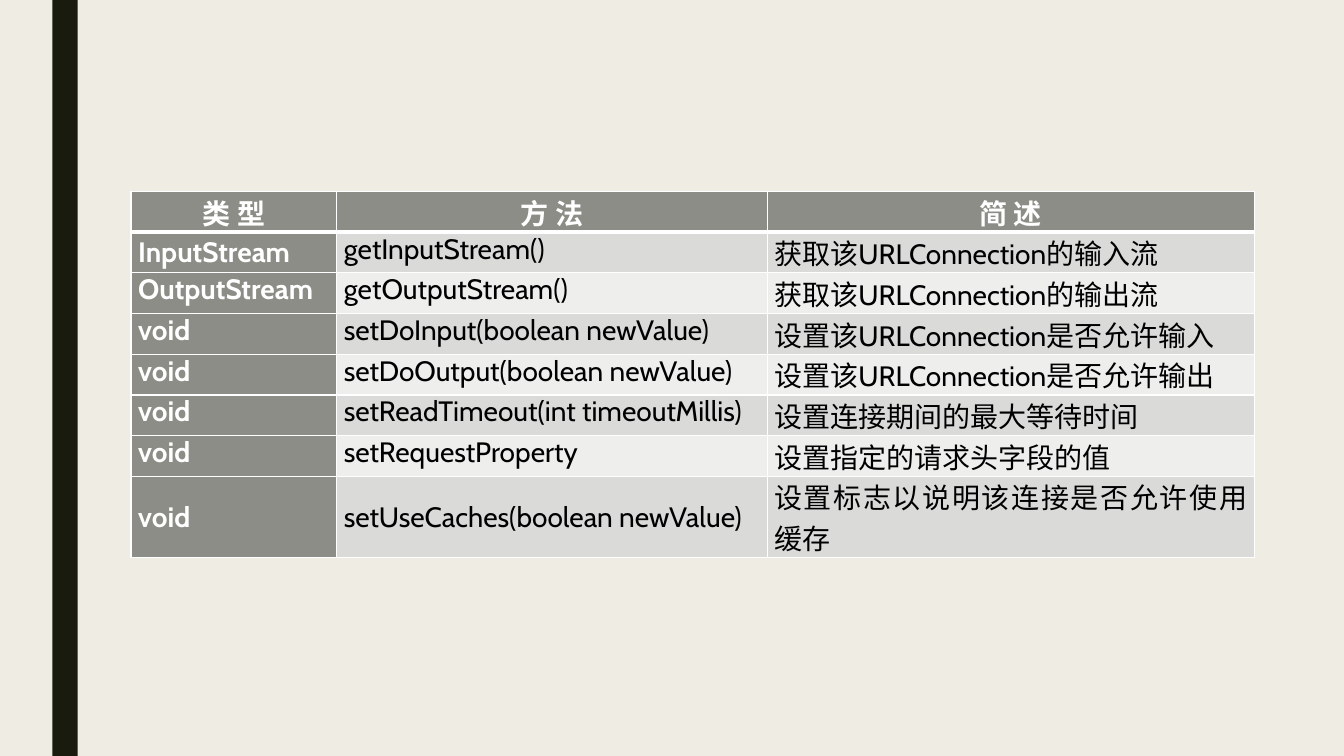
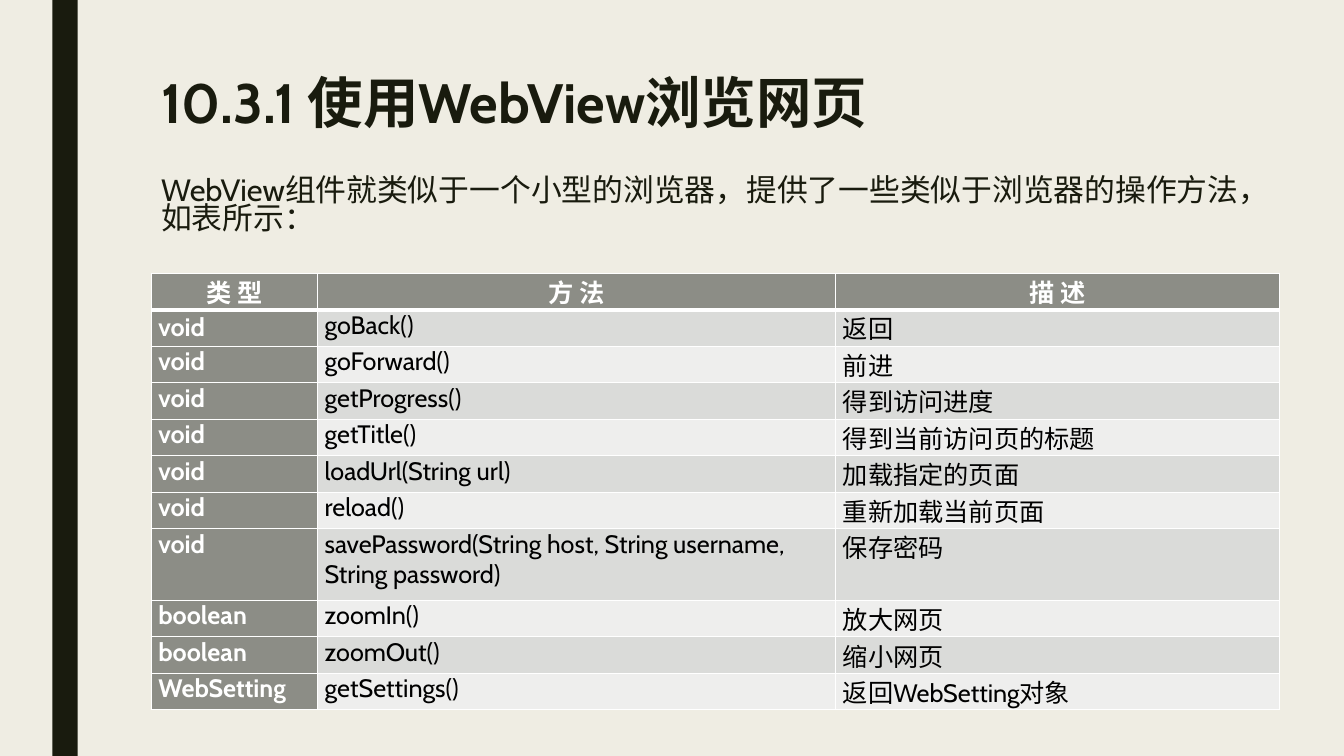
from dataclasses import dataclass

from lxml import etree
from pptx import Presentation
from pptx.dml.color import RGBColor
from pptx.enum.shapes import MSO_SHAPE
from pptx.enum.text import MSO_ANCHOR, MSO_AUTO_SIZE, PP_ALIGN
from pptx.oxml.ns import qn
from pptx.util import Inches, Pt

RECT = MSO_SHAPE.RECTANGLE
TOP, MIDDLE = MSO_ANCHOR.TOP, MSO_ANCHOR.MIDDLE
LEFT, CENTER, JUSTIFY = PP_ALIGN.LEFT, PP_ALIGN.CENTER, PP_ALIGN.JUSTIFY
NO_FIT = MSO_AUTO_SIZE.NONE
TITLE_ONLY, BLANK = 5, 6


@dataclass(frozen=True)
class Theme:
    font: str = "Cabin"
    page: str = "EFEDE3"
    ink: str = "191B0E"
    head: str = "8C8D86"
    odd: str = "DADBD9"
    even: str = "EEEEED"
    white: str = "FFFFFF"
    black: str = "000000"
    title: float = 39.6
    body: float = 22
    thin: float = 1
    thick: float = 3


THEME = Theme()

# Content: "mid" holds the (row, column) cells centred vertically
CONN = {
    "at": (1.3, 1.9), "cols": (2.04, 4.27, 4.83), "size": 20,
    "row": 0.4, "tall": {7: 0.81}, "mid": {(1, 0), (7, 0), (7, 1)},
    "rows": [
        ("类 型", "方 法", "简 述"),
        ("InputStream", "getInputStream()", "获取该URLConnection的输入流"),
        ("OutputStream", "getOutputStream()", "获取该URLConnection的输出流"),
        ("void", "setDoInput(boolean newValue)", "设置该URLConnection是否允许输入"),
        ("void", "setDoOutput(boolean newValue)", "设置该URLConnection是否允许输出"),
        ("void", "setReadTimeout(int timeoutMillis)", "设置连接期间的最大等待时间"),
        ("void", "setRequestProperty", "设置指定的请求头字段的值"),
        ("void", "setUseCaches(boolean newValue)", "设置标志以说明该连接是否允许使用缓存"),
    ],
}
VIEW = {
    "at": (1.5, 2.71), "cols": (1.65, 5.14, 4.4), "size": 18,
    "row": 0.35, "tall": {7: 0.71}, "mid": {(1, 0)},
    "rows": [
        ("类 型", "方 法", "描 述"),
        ("void", "goBack()", "返回"),
        ("void", "goForward()", "前进"),
        ("void", "getProgress()", "得到访问进度"),
        ("void", "getTitle()", "得到当前访问页的标题"),
        ("void", "loadUrl(String url)", "加载指定的页面"),
        ("void", "reload()", "重新加载当前页面"),
        ("void", "savePassword(String host, String username, String password)", "保存密码"),
        ("boolean", "zoomIn()", "放大网页"),
        ("boolean", "zoomOut()", "缩小网页"),
        ("WebSetting", "getSettings()", "返回WebSetting对象"),
    ],
}
SLIDES = [
    {"table": CONN},
    {"title": "10.3.1 使用WebView浏览网页",
     "body": "WebView组件就类似于一个小型的浏览器，提供了一些类似于浏览器的操作方法，如表所示：",
     "table": VIEW},
]


def paint(fill, color):
    fill.solid()
    fill.fore_color.rgb = RGBColor.from_string(color)


def style(para, size, color, bold=False, align=LEFT):
    para.alignment = align
    font = para.font
    font.name, font.size, font.bold = THEME.font, Pt(size), bold
    font.color.rgb = RGBColor.from_string(color)


def write(shape, text, size, space, bold=False):
    frame = shape.text_frame
    frame.word_wrap, frame.auto_size = True, NO_FIT
    frame.vertical_anchor = TOP
    frame.text = text
    para = frame.paragraphs[0]
    style(para, size, THEME.ink, bold)
    para.line_spacing = space
    para.space_before = Pt(0)


def border(cell, row):
    props = cell._tc.get_or_add_tcPr()
    heavy = {0: "lnB", 1: "lnT"}.get(row)
    for side in ("lnL", "lnR", "lnT", "lnB"):
        width = THEME.thick if side == heavy else THEME.thin
        line = etree.SubElement(props, qn(f"a:{side}"), w=str(Pt(width)))
        fill = etree.SubElement(line, qn("a:solidFill"))
        etree.SubElement(fill, qn("a:srgbClr"), val=THEME.white)


def add_grid(slide, data):
    rows, cols = data["rows"], data["cols"]
    highs = [data["tall"].get(i, data["row"]) for i in range(len(rows))]
    left, top = data["at"]
    grid = slide.shapes.add_table(
        len(rows), len(cols), Inches(left), Inches(top),
        Inches(sum(cols)), Inches(sum(highs))).table
    grid.horz_banding = False
    for col, width in zip(grid.columns, cols):
        col.width = Inches(width)
    for r, (texts, high) in enumerate(zip(rows, highs)):
        grid.rows[r].height = Inches(high)
        band = THEME.odd if r % 2 else THEME.even
        for c, text in enumerate(texts):
            cell = grid.cell(r, c)
            label = r == 0 or c == 0
            cell.margin_left = cell.margin_right = Inches(0.07)
            cell.margin_top = cell.margin_bottom = 0
            cell.vertical_anchor = MIDDLE if (r, c) in data["mid"] else TOP
            border(cell, r)
            paint(cell.fill, THEME.head if label else band)
            cell.text = text
            align = CENTER if r == 0 else JUSTIFY if c == 2 else LEFT
            style(cell.text_frame.paragraphs[0], data["size"],
                  THEME.white if label else THEME.black, label, align)


def set_master(deck, slide):
    """Give every slide the page colour and the dark side band."""
    master = deck.slide_master
    paint(master.background.fill, THEME.page)
    band = slide.shapes.add_shape(RECT, Inches(0.52), 0, Inches(0.25), deck.slide_height)
    band.shadow.inherit = False
    paint(band.fill, THEME.ink)
    band.line.fill.background()
    band.element.nvSpPr.cNvPr.set("id", "20")
    master.element.cSld.spTree.insert(2, band.element)


def add_slide(deck, data):
    titled = "title" in data
    slide = deck.slides.add_slide(deck.slide_layouts[TITLE_ONLY if titled else BLANK])
    if titled:
        title = slide.shapes.title
        title.left, title.top = Inches(1.5), Inches(0.75)
        title.width, title.height = Inches(10.5), Inches(0.98)
        write(title, data["title"], THEME.title, 0.81, True)
        body = slide.shapes.add_textbox(
            Inches(1.5), Inches(1.73), Inches(10.96), Inches(0.86))
        write(body, data["body"], THEME.body, 0.76)
    add_grid(slide, data["table"])
    return slide


def main():
    deck = Presentation()
    deck.slide_width, deck.slide_height = Inches(13.33), Inches(7.5)
    slides = [add_slide(deck, data) for data in SLIDES]
    set_master(deck, slides[0])
    deck.save("out.pptx")


if __name__ == "__main__":
    main()
